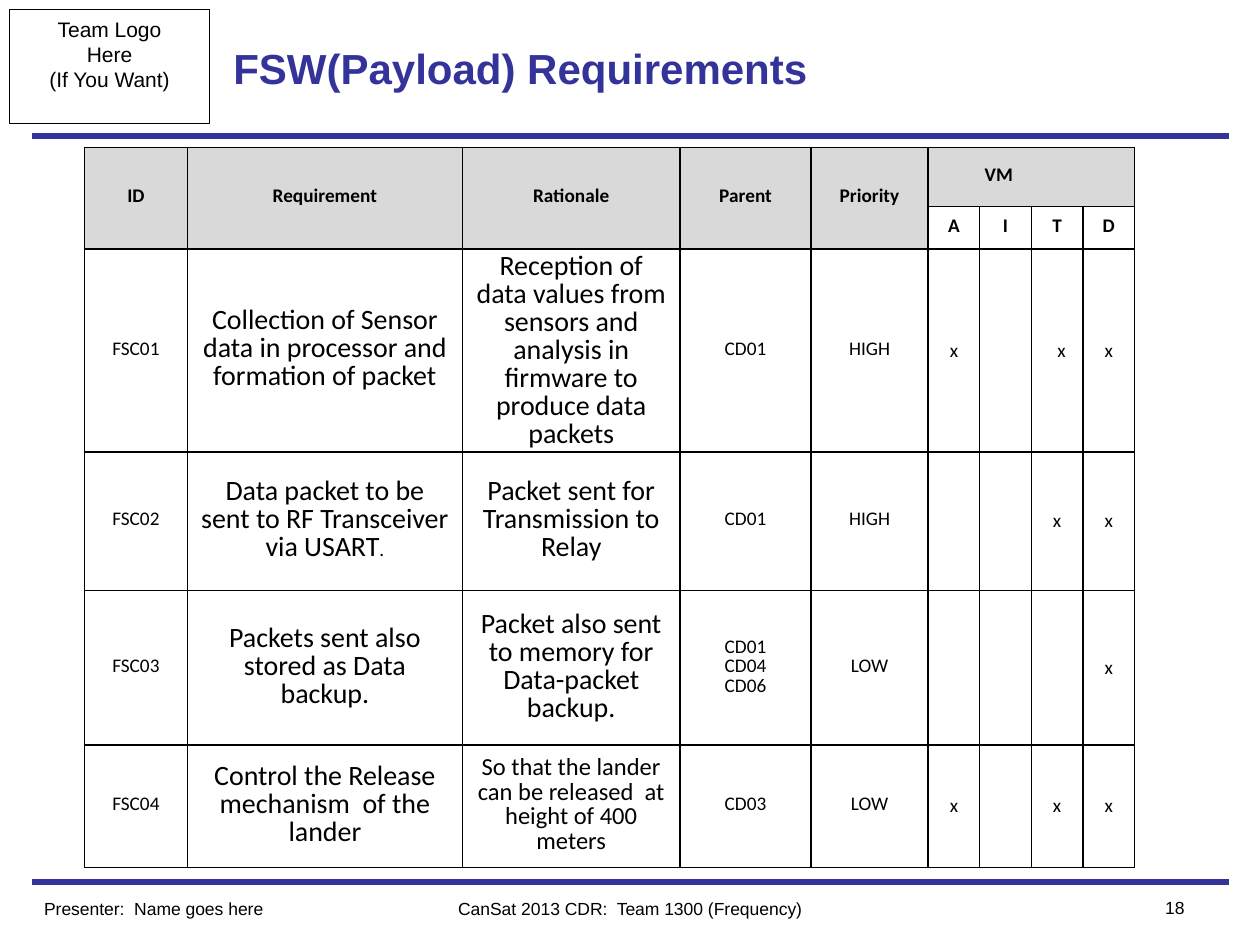
"""Build the payload flight software requirements slide."""
from lxml import etree
from pptx import Presentation
from pptx.dml.color import RGBColor
from pptx.enum.shapes import MSO_CONNECTOR, MSO_SHAPE
from pptx.enum.text import MSO_ANCHOR, PP_ALIGN
from pptx.oxml.ns import qn
from pptx.util import Cm, Pt

LEFT, CENTER, RIGHT = PP_ALIGN.LEFT, PP_ALIGN.CENTER, PP_ALIGN.RIGHT
TOP, MIDDLE = MSO_ANCHOR.TOP, MSO_ANCHOR.MIDDLE
STRAIGHT, RECTANGLE = MSO_CONNECTOR.STRAIGHT, MSO_SHAPE.RECTANGLE
COLORS = {"navy": "333399", "black": "000000", "header": "D9D9D9"}


def write(tf, text, size, font="Arial", align=LEFT, color="black", bold=False, spacing=None):
    tf.text = text
    for p in tf.paragraphs:
        p.alignment = align
        p.line_spacing = spacing
        for r in p.runs:
            r.font.name = font
            r.font.size = Pt(size)
            r.font.bold = bold
            r.font.color.rgb = RGBColor.from_string(COLORS[color])


def add_borders(cell):
    tcPr = cell._tc.get_or_add_tcPr()
    for side in ("a:lnL", "a:lnR", "a:lnT", "a:lnB"):
        ln = etree.SubElement(tcPr, qn(side), w=str(Pt(1)))
        fill = etree.SubElement(ln, qn("a:solidFill"))
        etree.SubElement(fill, qn("a:srgbClr"), val=COLORS["black"])


prs = Presentation()
prs.slide_width, prs.slide_height = Cm(25.4), Cm(19.05)
s = prs.slides.add_slide(prs.slide_layouts[5])

for y in (17.78, 2.74):
    line = s.shapes.add_connector(STRAIGHT, Cm(0.64), Cm(y), Cm(24.77), Cm(y))
    line.line.color.rgb = RGBColor.from_string(COLORS["navy"])
    line.line.width = Pt(3)
    etree.SubElement(line._element.spPr, qn("a:effectLst"))

logo = s.shapes.add_shape(RECTANGLE, Cm(0.2), Cm(0.2), Cm(4.02), Cm(2.29))
logo.shadow.inherit = False
logo.fill.background()
logo.line.color.rgb = RGBColor.from_string(COLORS["black"])
logo.line.width = Pt(0.5)
logo.text_frame.word_wrap = False
logo.text_frame.vertical_anchor = TOP
write(logo.text_frame, "Team Logo\nHere\n(If You Want)", 12, align=CENTER)

title = s.shapes.title
title.left, title.top, title.width, title.height = Cm(4.45), Cm(0.2), Cm(15.04), Cm(2.34)
title.text_frame.vertical_anchor = MIDDLE
write(title.text_frame, "FSW(Payload) Requirements", 24, color="navy", bold=True)

footers = [
    ("CanSat 2013 CDR:  Team 1300 (Frequency)", 7.62, 17.98, 10.16, CENTER),
    ("18", 22.23, 17.95, 1.9, RIGHT),
    ("Presenter:  Name goes here", 0.64, 17.98, 6.35, LEFT),
]
for text, x, y, width, align in footers:
    tf = s.shapes.add_textbox(Cm(x), Cm(y), Cm(width), Cm(0.69)).text_frame
    tf.word_wrap = True
    write(tf, text, 10, align=align)

col_widths = [2.08, 5.54, 4.39, 2.64, 2.36] + [1.04] * 4
row_heights = [1.19, 0.86, 4.09, 2.79, 3.12, 2.46]
methods = "AITD"
headers = ["ID", "Requirement", "Rationale", "Parent", "Priority"]
requirements = [
    ("FSC01", "Collection of Sensor data in processor and formation of packet",
     "Reception of data values from sensors and analysis in firmware to produce data packets",
     "CD01", "HIGH", "ATD"),
    ("FSC02", "Data packet to be sent to RF Transceiver via USART",
     "Packet sent for Transmission to Relay", "CD01", "HIGH", "TD"),
    ("FSC03", "Packets sent also stored as Data backup.",
     "Packet also sent to memory for Data-packet backup.", "CD01\nCD04\nCD06", "LOW", "D"),
    ("FSC04", "Control the Release mechanism  of the lander",
     "So that the lander can be released  at height of 400 meters", "CD03", "LOW", "ATD"),
]
rows = [headers + ["VM", "", "", ""], [""] * 5 + list(methods)]
for *fields, marks in requirements:
    rows.append(fields + ["x" if m in marks else "" for m in methods])

table = s.shapes.add_table(len(rows), len(col_widths), Cm(1.7), Cm(2.97),
                           Cm(sum(col_widths)), Cm(sum(row_heights))).table
table.first_row = table.horz_banding = False
for col, width in zip(table.columns, col_widths):
    col.width = Cm(width)
for row, height in zip(table.rows, row_heights):
    row.height = Cm(height)

for i, values in enumerate(rows):
    for j, text in enumerate(values):
        cell = table.cell(i, j)
        add_borders(cell)
        if i == 0 or (i == 1 and j < len(headers)):
            cell.fill.solid()
            cell.fill.fore_color.rgb = RGBColor.from_string(COLORS["header"])
        else:
            cell.fill.background()
        is_mark = i > 1 and j >= len(headers)
        cell.vertical_anchor = MIDDLE
        cell.margin_top = Cm(0.13 if is_mark else 0.08)
        size = 16 if i > 1 and j in (1, 2) else 11
        if text:
            write(cell.text_frame, text, size, "Calibri", CENTER, bold=i < 2,
                  spacing=None if is_mark else 0.82)

for j in range(len(headers)):
    table.cell(0, j).merge(table.cell(1, j))
vm = table.cell(0, len(headers))
vm.merge(table.cell(0, len(col_widths) - 1))
vm.margin_left = Cm(1.14)
vm.text_frame.paragraphs[0].alignment = LEFT

table.cell(2, 7).margin_left = Cm(0.43)
table.cell(5, 2).text_frame.paragraphs[0].runs[0].font.size = Pt(14)
r = table.cell(3, 1).text_frame.paragraphs[0].add_run()
r.text = "."
r.font.name, r.font.size = "Calibri", Pt(11)
r.font.color.rgb = RGBColor.from_string(COLORS["black"])

prs.save("out.pptx")
